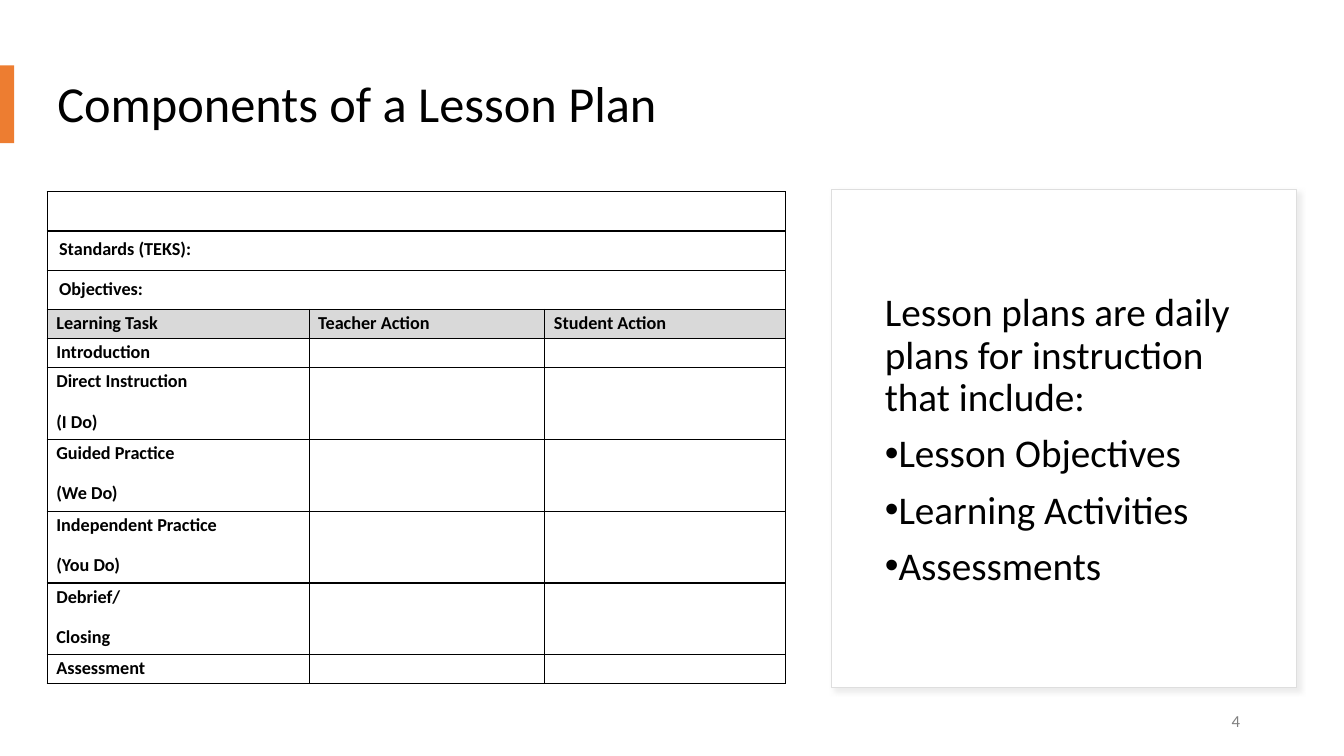
from lxml.etree import SubElement
from pptx import Presentation
from pptx.dml.color import RGBColor
from pptx.enum.shapes import MSO_SHAPE
from pptx.enum.text import MSO_ANCHOR, MSO_AUTO_SIZE, PP_ALIGN
from pptx.oxml import parse_xml
from pptx.oxml.ns import nsdecls, qn
from pptx.util import Cm, Pt

TITLE = "Components of a Lesson Plan"
FULL_WIDTH_ROWS = ["", "Standards (TEKS):", "Objectives:"]
HEADINGS = ["Learning Task", "Teacher Action", "Student Action"]
TASKS = [
    "Introduction",
    "Direct Instruction\n(I Do)",
    "Guided Practice\n(We Do)",
    "Independent Practice\n(You Do)",
    "Debrief/\nClosing",
    "Assessment",
]
SUMMARY = "Lesson plans are daily plans for instruction that include:"
SUMMARY_POINTS = ["Lesson Objectives", "Learning Activities", "Assessments"]
PAGE_NUMBER = "4"

FONT = "Calibri"
COLORS = {
    "text": "000000",
    "accent": "ED7D31",
    "panel": "FFFFFF",
    "panel_line": "DEDEDE",
    "shade": "D9D9D9",
    "number": "808080",
}
COLUMN_WIDTHS = [6.6, 5.94, 6.07]
WIDE_ROW, ONE_LINE_ROW, TWO_LINE_ROW = 0.99, 0.73, 1.81


def color(name):
    return RGBColor.from_string(COLORS[name])


def format_runs(paragraph, size, color_name="text", bold=False):
    for run in paragraph.runs:
        run.font.name = FONT
        run.font.size = Pt(size)
        run.font.bold = bold
        run.font.color.rgb = color(color_name)


def add_text_box(slide, left, top, width, height):
    frame = slide.shapes.add_textbox(Cm(left), Cm(top), Cm(width), Cm(height)).text_frame
    frame.word_wrap = True
    frame.vertical_anchor = MSO_ANCHOR.MIDDLE
    return frame


def add_rectangle(slide, left, top, width, height, fill):
    shape = slide.shapes.add_shape(
        MSO_SHAPE.RECTANGLE, Cm(left), Cm(top), Cm(width), Cm(height))
    shape.shadow.inherit = False
    shape.fill.solid()
    shape.fill.fore_color.rgb = color(fill)
    shape.line.fill.background()
    return shape


def add_borders(cell):
    properties = cell._tc.get_or_add_tcPr()
    for position, side in enumerate(("lnL", "lnR", "lnT", "lnB")):
        properties.insert(position, parse_xml(
            f'<a:{side} {nsdecls("a")} w="{Pt(1)}"><a:solidFill>'
            f'<a:srgbClr val="{COLORS["text"]}"/></a:solidFill></a:{side}>'))


def fill_cell(cell, text, margins, shaded=False):
    cell.margin_left = cell.margin_right = Cm(margins[0])
    cell.margin_top, cell.margin_bottom = Cm(margins[1]), Cm(margins[2])
    cell.text_frame.text = text
    for index, paragraph in enumerate(cell.text_frame.paragraphs):
        paragraph.line_spacing = 1.07
        paragraph.space_before = Pt(6 if index else 0)
        paragraph.space_after = Pt(6)
        format_runs(paragraph, 13, bold=True)
        if not text:  # keeps empty cells from stretching their row
            SubElement(paragraph._p, qn("a:endParaRPr"), sz="1200")
    if shaded:
        cell.fill.solid()
        cell.fill.fore_color.rgb = color("shade")
    else:
        cell.fill.background()
    add_borders(cell)


def add_lesson_table(slide):
    rows = [[text, "", ""] for text in FULL_WIDTH_ROWS]
    rows += [HEADINGS] + [[task, "", ""] for task in TASKS]
    heights = [WIDE_ROW] * len(FULL_WIDTH_ROWS) + [ONE_LINE_ROW]
    heights += [TWO_LINE_ROW if "\n" in task else ONE_LINE_ROW for task in TASKS]
    table = slide.shapes.add_table(
        len(rows), len(COLUMN_WIDTHS), Cm(1.19), Cm(4.83),
        Cm(sum(COLUMN_WIDTHS)), Cm(sum(heights))).table
    table.first_row = table.horz_banding = False
    for column, width in zip(table.columns, COLUMN_WIDTHS):
        column.width = Cm(width)
    for index, (texts, height) in enumerate(zip(rows, heights)):
        table.rows[index].height = Cm(height)
        wide = index < len(FULL_WIDTH_ROWS)
        margins = (0.3, 0.15, 0.15) if wide else (0.23, 0.03, 0)
        for column, text in enumerate(texts):
            fill_cell(table.cell(index, column), text, margins, texts is HEADINGS)
        if wide:
            table.cell(index, 0).merge(table.cell(index, len(texts) - 1))


def add_panel(slide):
    panel = add_rectangle(slide, 20.96, 4.78, 11.71, 12.55, "panel")
    panel.line.color.rgb = color("panel_line")
    panel.line.width = Pt(0.75)
    effects = panel._element.spPr.find(qn("a:effectLst"))
    effects.append(parse_xml(
        f'<a:outerShdw {nsdecls("a")} blurRad="{Pt(4)}" dist="{Pt(3)}" '
        f'dir="{45 * 60000}" algn="tl" rotWithShape="0">'
        f'<a:srgbClr val="{COLORS["shade"]}"><a:alpha val="50000"/></a:srgbClr>'
        '</a:outerShdw>'))


def add_summary(slide):
    frame = add_text_box(slide, 22.05, 5.61, 9.6, 11)
    frame.text = "\n".join([SUMMARY] + SUMMARY_POINTS)
    for index, paragraph in enumerate(frame.paragraphs):
        paragraph.line_spacing = 0.9
        if index:
            paragraph.space_before = Pt(10)
            properties = paragraph._p.get_or_add_pPr()
            properties.set("marL", "0")
            properties.set("indent", str(-Cm(0.64)))
            SubElement(properties, qn("a:buFont"), typeface="Arial")
            SubElement(properties, qn("a:buChar"), char="•")
        format_runs(paragraph, 28)


def add_title(slide):
    title = slide.shapes.title
    title.left, title.top, title.width, title.height = Cm(1.19), Cm(1.14), Cm(31.12), Cm(3.07)
    frame = title.text_frame
    frame.text = TITLE
    frame.auto_size = MSO_AUTO_SIZE.NONE
    frame.vertical_anchor = MSO_ANCHOR.MIDDLE
    paragraph = frame.paragraphs[0]
    paragraph.alignment = PP_ALIGN.LEFT
    paragraph.line_spacing = 0.9
    format_runs(paragraph, 36)


def add_page_number(slide):
    frame = add_text_box(slide, 23.88, 17.65, 7.62, 1.02)
    frame.text = PAGE_NUMBER
    paragraph = frame.paragraphs[0]
    paragraph.alignment = PP_ALIGN.RIGHT
    paragraph.space_after = Pt(6)
    format_runs(paragraph, 12, "number")


def main():
    presentation = Presentation()
    presentation.slide_width, presentation.slide_height = Cm(33.87), Cm(19.05)
    slide = presentation.slides.add_slide(presentation.slide_layouts[5])
    add_title(slide)
    add_rectangle(slide, 0, 1.65, 0.36, 1.96, "accent")
    add_panel(slide)
    add_lesson_table(slide)
    add_summary(slide)
    add_page_number(slide)
    presentation.save("out.pptx")


if __name__ == "__main__":
    main()
